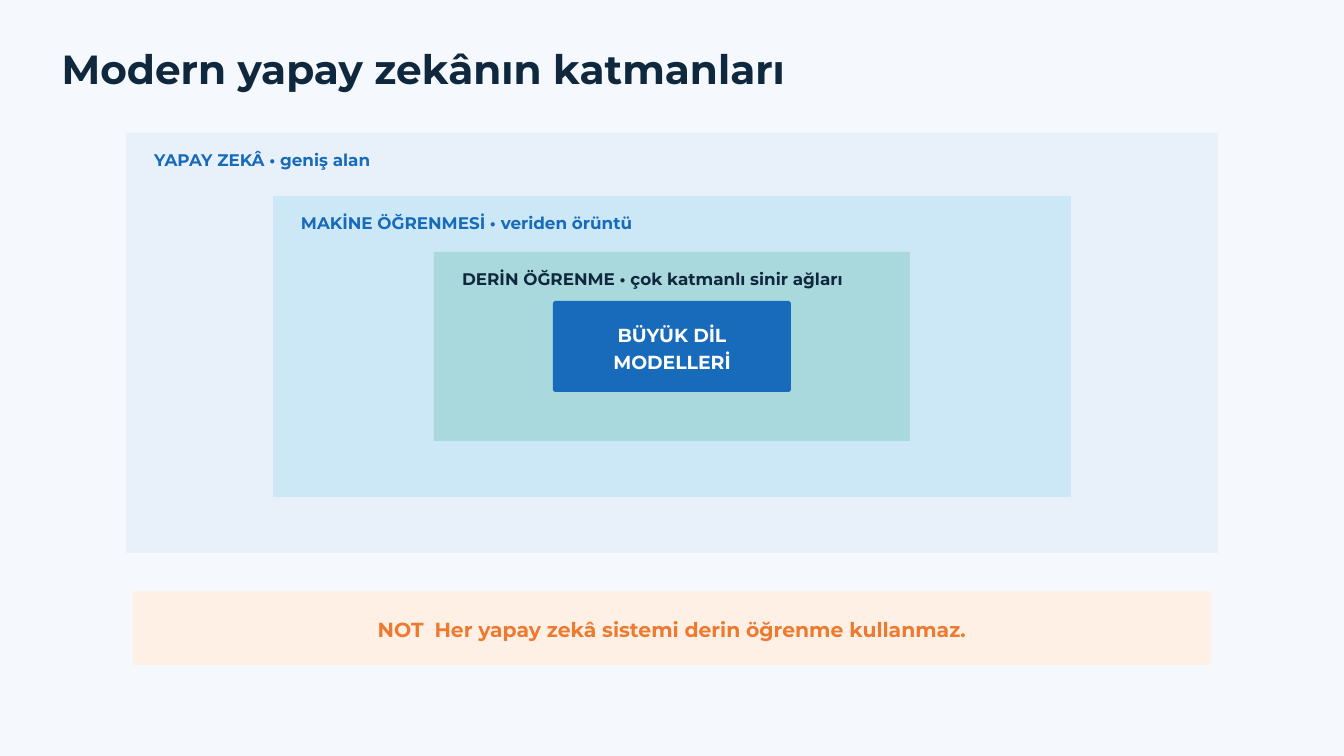
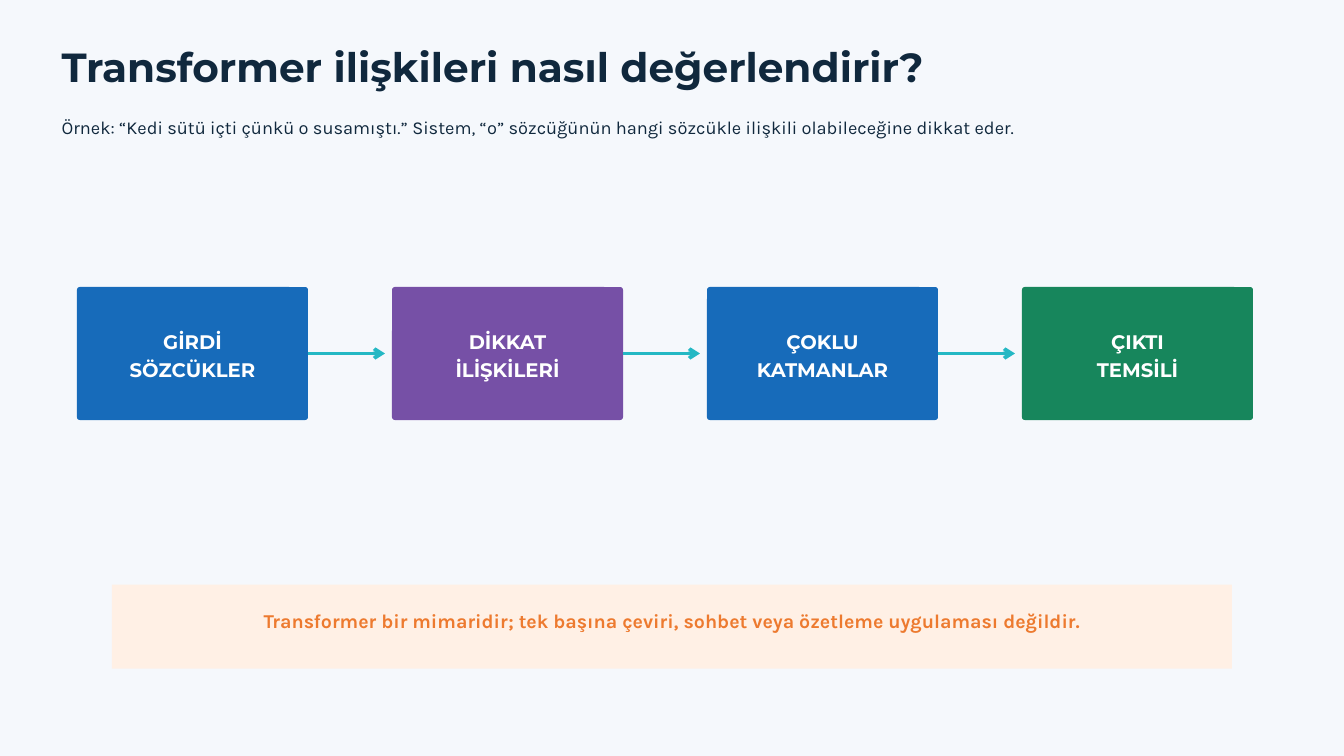
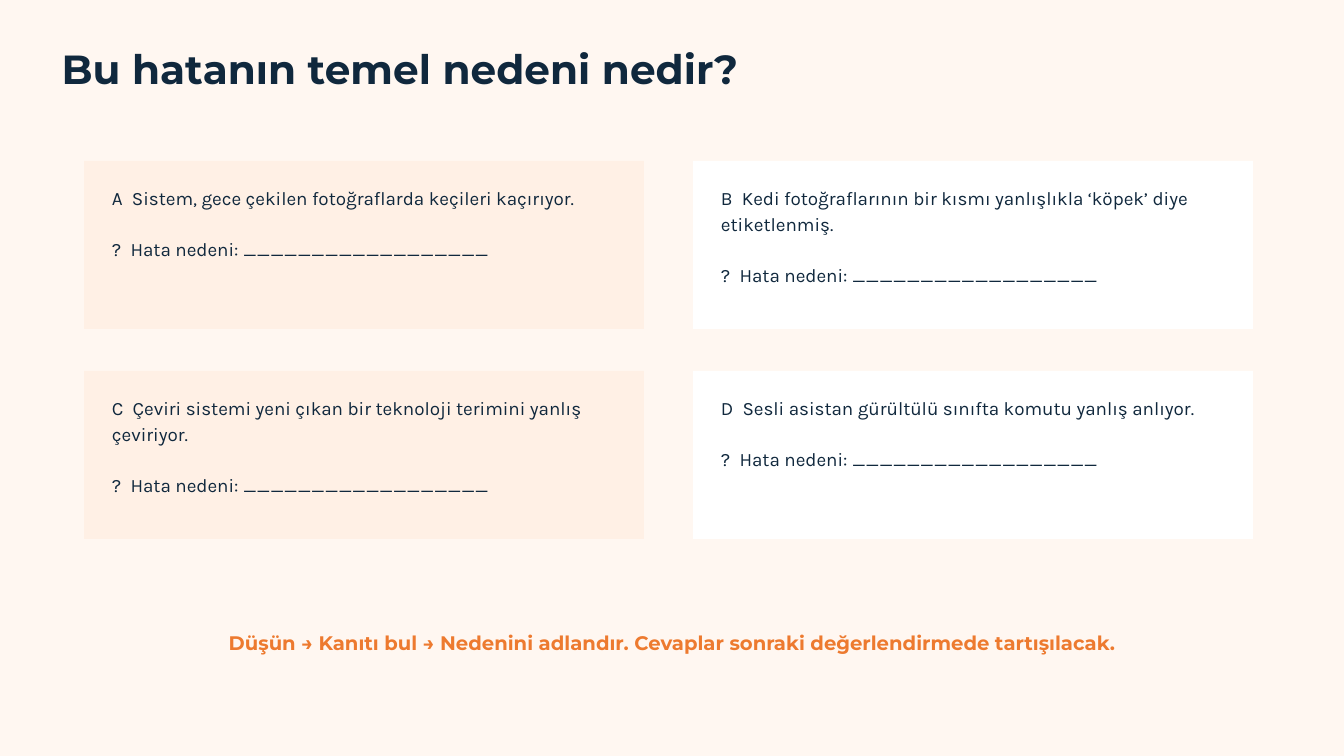
from lxml import etree
from pptx import Presentation
from pptx.dml.color import RGBColor
from pptx.enum.shapes import MSO_CONNECTOR, MSO_SHAPE
from pptx.enum.text import MSO_ANCHOR, MSO_AUTO_SIZE, PP_ALIGN
from pptx.oxml.ns import qn
from pptx.util import Pt

RECTANGLE = MSO_SHAPE.RECTANGLE
ROUNDED = MSO_SHAPE.ROUNDED_RECTANGLE
STRAIGHT = MSO_CONNECTOR.STRAIGHT
MIDDLE = MSO_ANCHOR.MIDDLE
TOP = MSO_ANCHOR.TOP
GROW = MSO_AUTO_SIZE.SHAPE_TO_FIT_TEXT
LEFT = PP_ALIGN.LEFT
CENTER = PP_ALIGN.CENTER

HEADING = "Montserrat"
BODY = "Karla"
COLORS = {
    "mist": "F5F8FC",
    "cream": "FFF7F1",
    "peach": "FFF0E5",
    "white": "FFFFFF",
    "ink": "10283D",
    "orange": "ED7A2F",
    "blue": "176BBA",
    "purple": "7650A6",
    "green": "17865C",
    "teal": "24B8C4",
    "pale": "E8F1FA",
    "sky": "CCE7F5",
    "aqua": "A9D8DD",
}
CORNER = 3


def rgb(name):
    return RGBColor.from_string(COLORS[name])


class Deck:
    def __init__(self):
        self.presentation = Presentation()
        self.presentation.slide_width = Pt(1440)
        self.presentation.slide_height = Pt(810)
        self.slide = None

    def new_slide(self, background, title, title_top=54):
        layout = self.presentation.slide_layouts[6]
        self.slide = self.presentation.slides.add_slide(layout)
        fill = self.slide.background.fill
        fill.solid()
        fill.fore_color.rgb = rgb(background)
        self.text(66, title_top, 1087, 46, [title], 43.5, 45.7)

    def set_lines(self, frame, lines, size, spacing, color, font, bold, align, gap=0):
        frame.word_wrap = True
        for index, line in enumerate(lines):
            paragraph = frame.paragraphs[0] if index == 0 else frame.add_paragraph()
            paragraph.alignment = align
            paragraph.line_spacing = Pt(spacing)
            if index and gap:
                paragraph.space_before = Pt(gap)
            paragraph.font.name = font
            paragraph.font.size = Pt(size)
            paragraph.font.bold = bold
            paragraph.font.color.rgb = rgb(color)
            if isinstance(line, tuple):
                self.add_labelled(paragraph, *line, size)
            else:
                paragraph.add_run().text = line

    def add_labelled(self, paragraph, label, words, size):
        for part in (label, " ", words):
            run = paragraph.add_run()
            run.text = part
            if part == " ":
                run.font._element.set("spc", str(round(size * 25)))

    def text(self, left, top, width, height, lines, size, spacing,
             color="ink", font=HEADING, bold=True, align=LEFT, gap=0):
        box = self.slide.shapes.add_textbox(Pt(left), Pt(top), Pt(width), Pt(height))
        frame = box.text_frame
        frame.margin_left = frame.margin_right = 0
        frame.margin_top = frame.margin_bottom = 0
        frame.vertical_anchor = TOP
        frame.auto_size = GROW
        self.set_lines(frame, lines, size, spacing, color, font, bold, align, gap)

    def panel(self, left, top, width, height, color, kind=RECTANGLE):
        shape = self.slide.shapes.add_shape(
            kind, Pt(left), Pt(top), Pt(width), Pt(height))
        shape.shadow.inherit = False
        shape.fill.solid()
        shape.fill.fore_color.rgb = rgb(color)
        shape.line.fill.background()
        return shape

    def block(self, left, top, width, height, color, lines, size, spacing):
        shape = self.panel(left, top, width, height, color, ROUNDED)
        shape.adjustments[0] = CORNER / height
        frame = shape.text_frame
        frame.vertical_anchor = MIDDLE
        self.set_lines(frame, lines, size, spacing, "white", HEADING, True, CENTER)

    def arrow(self, start, end, y):
        connector = self.slide.shapes.add_connector(
            STRAIGHT, Pt(start), Pt(y), Pt(end), Pt(y))
        connector.line.color.rgb = rgb("teal")
        connector.line.width = Pt(3.75)
        line = connector.line._get_or_add_ln()
        etree.SubElement(line, qn("a:tailEnd"), type="arrow")
        etree.SubElement(connector._element.spPr, qn("a:effectLst"))


def layers_slide(deck):
    deck.new_slide("mist", "Modern yapay zekânın katmanları")
    layers = [
        (135, 142.5, 1170, 450, "pale", "blue", "YAPAY ZEKÂ • geniş alan"),
        (292.5, 210, 855, 322.5, "sky", "blue", "MAKİNE ÖĞRENMESİ • veriden örüntü"),
        (465, 270, 510, 202.5, "aqua", "ink", "DERİN ÖĞRENME • çok katmanlı sinir ağları"),
    ]
    for left, top, width, height, fill, color, label in layers:
        deck.panel(left, top, width, height, fill)
        deck.text(left + 30, top + 20.2, min(525, width - 30), 20,
                  [label], 18, 19.8, color)
    deck.block(592.5, 322.5, 255, 97.5, "blue", ["BÜYÜK DİL", "MODELLERİ"], 20.2, 28.4)
    deck.panel(142.5, 633.75, 1155, 78.75, "peach")
    deck.text(187.5, 656.7, 1065, 29,
              [("NOT", "Her yapay zekâ sistemi derin öğrenme kullanmaz.")],
              21.8, 30.4, "orange", align=CENTER)


def transformer_slide(deck):
    deck.new_slide("mist", "Transformer ilişkileri nasıl değerlendirir?", 51.8)
    deck.text(66, 122.4, 1238, 24.5,
              ["Örnek: “Kedi sütü içti çünkü o susamıştı.” Sistem, “o” sözcüğünün "
               "hangi sözcükle ilişkili olabileceğine dikkat eder."],
              19.5, 25.7, font=BODY, bold=False)
    steps = [
        ("blue", ["GİRDİ", "SÖZCÜKLER"]),
        ("purple", ["DİKKAT", "İLİŞKİLERİ"]),
        ("blue", ["ÇOKLU", "KATMANLAR"]),
        ("green", ["ÇIKTI", "TEMSİLİ"]),
    ]
    top, width, height = 307.5, 247.5, 142.5
    for index, (color, lines) in enumerate(steps):
        left = 82.5 + index * 337.5
        deck.block(left, top, width, height, color, lines, 21, 29.4)
        if index < len(steps) - 1:
            deck.arrow(left + width, left + width + 82.5, top + height / 2)
    deck.panel(120, 626.4, 1200, 90, "peach")
    deck.text(157.5, 650.2, 1125, 27.4,
              ["Transformer bir mimaridir; tek başına çeviri, sohbet veya "
               "özetleme uygulaması değildir."],
              21, 27.3, "orange", BODY, align=CENTER)


def causes_slide(deck):
    deck.new_slide("cream", "Bu hatanın temel nedeni nedir?")
    cases = [
        ("A", "Sistem, gece çekilen fotoğraflarda keçileri kaçırıyor."),
        ("B", "Kedi fotoğraflarının bir kısmı yanlışlıkla ‘köpek’ diye etiketlenmiş."),
        ("C", "Çeviri sistemi yeni çıkan bir teknoloji terimini yanlış çeviriyor."),
        ("D", "Sesli asistan gürültülü sınıfta komutu yanlış anlıyor."),
    ]
    answer = ("?", "Hata nedeni: __________________")
    for index, case in enumerate(cases):
        row, column = divmod(index, 2)
        left, top = 90 + column * 652.5, 172.5 + row * 225
        deck.panel(left, top, 600, 180, ("peach", "white")[column])
        deck.text(left + 30, top + 24.7, 540, 80, [case, answer], 20.2, 27.3,
                  font=BODY, bold=False, gap=27.3)
    deck.text(165, 671.8, 1110, 28,
              ["Düşün → Kanıtı bul → Nedenini adlandır. "
               "Cevaplar sonraki değerlendirmede tartışılacak."],
              21, 29.4, "orange", align=CENTER)


def main():
    deck = Deck()
    layers_slide(deck)
    transformer_slide(deck)
    causes_slide(deck)
    deck.presentation.save("out.pptx")


if __name__ == "__main__":
    main()
